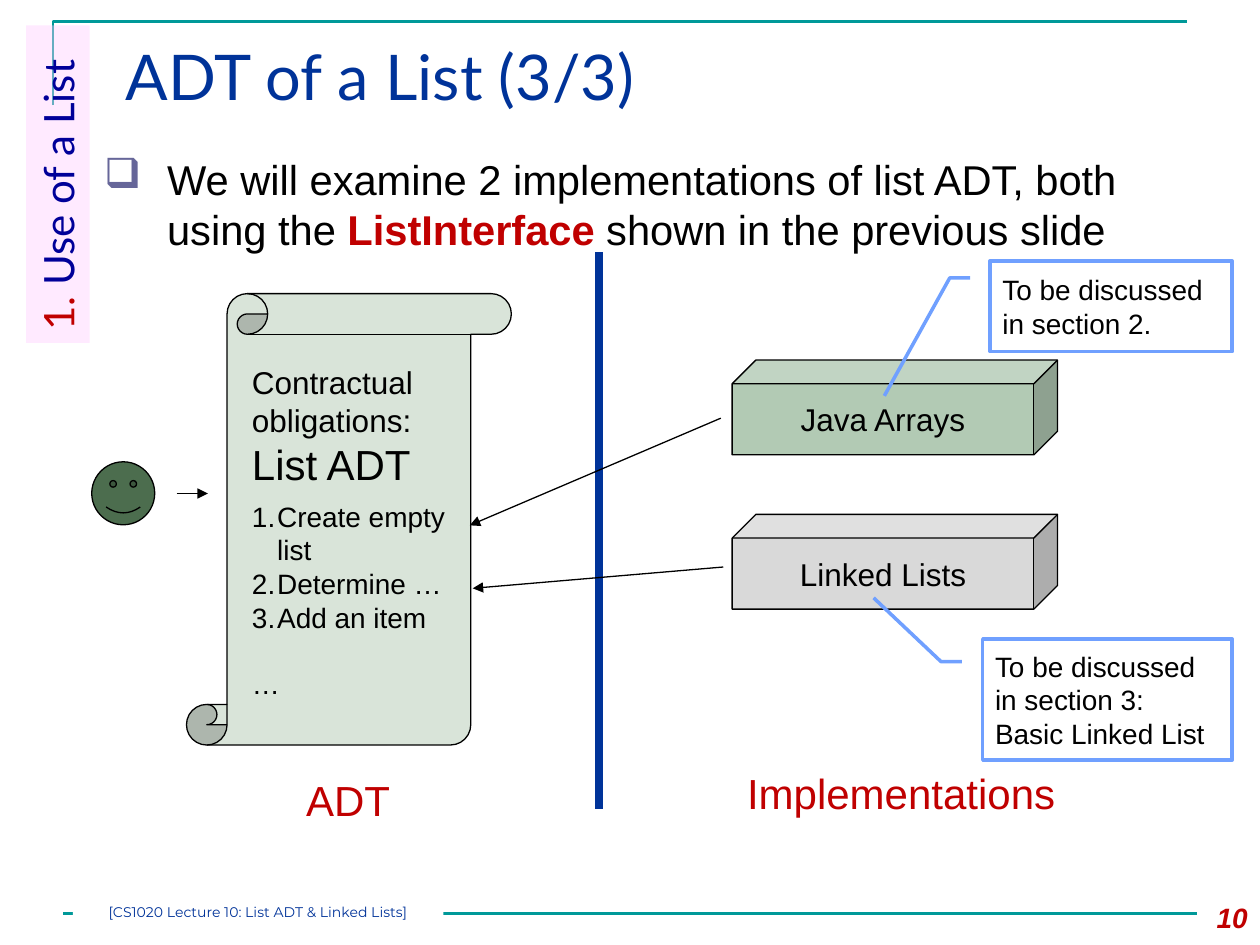
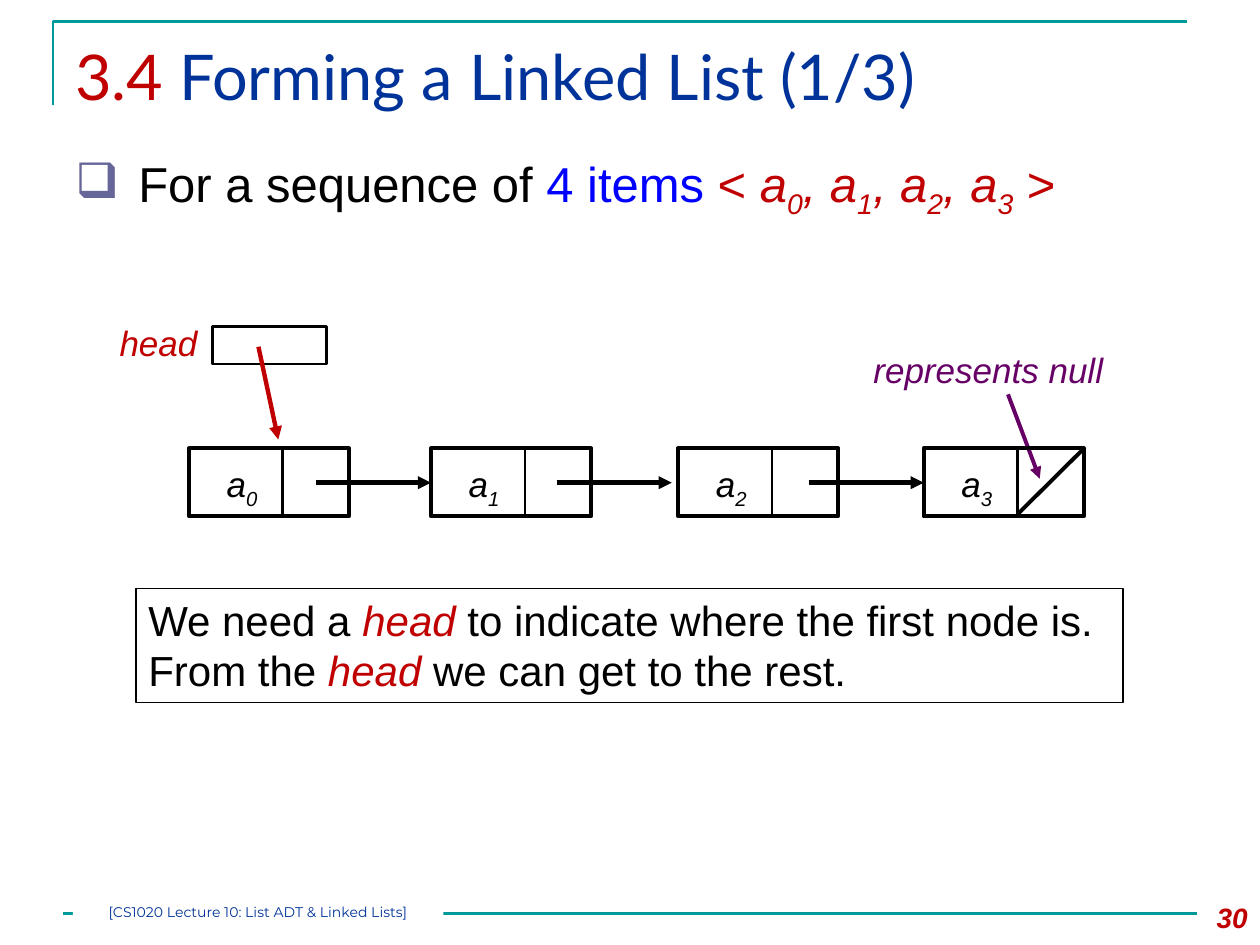
from dataclasses import dataclass

from lxml.etree import SubElement
from pptx import Presentation
from pptx.dml.color import RGBColor
from pptx.enum.shapes import MSO_CONNECTOR, MSO_SHAPE
from pptx.enum.text import MSO_ANCHOR, PP_ALIGN
from pptx.oxml.ns import qn
from pptx.util import Cm, Pt


@dataclass(frozen=True)
class Theme:
    body_font: str = "Arial"
    title_font: str = "Lato"
    footer_font: str = "Montserrat"
    black: str = "000000"
    white: str = "FFFFFF"
    navy: str = "003399"
    label_navy: str = "000099"
    blue: str = "0000FF"
    red: str = "C00000"
    purple: str = "660066"
    teal: str = "009999"
    bullet: str = "666699"
    callout: str = "70A0FF"
    label_pink: str = "FFCCFF"
    scroll: str = "D9E4D9"
    smiley: str = "4C6D4E"
    arrays: str = "B2CAB4"
    links: str = "D9D9D9"
    title_size: float = 36
    lead_size: float = 28
    bullet_size: float = 23.8
    large_size: float = 24
    node_size: float = 20
    medium_size: float = 18
    small_size: float = 16
    footer_size: float = 8


THEME = Theme()
FOOTER = "[CS1020 Lecture 10: List ADT & Linked Lists]"
RED_ITALIC = {"color": THEME.red, "italic": True}


def add_spans(para, spans, base):
    for text, changes in spans:
        values = {"name": THEME.body_font, "color": THEME.black, **base, **changes}
        span = para.add_run()
        span.text = text
        span.font.color.rgb = RGBColor.from_string(values.pop("color"))
        values["size"] = Pt(values["size"])
        if values.pop("subscript", False):
            span._r.get_or_add_rPr().set("baseline", "-25000")
        for name, value in values.items():
            setattr(span.font, name, value)


def write_text(shape, paragraphs, base, align=PP_ALIGN.LEFT, frame_values=None):
    frame = shape.text_frame
    settings = {"word_wrap": True, "vertical_anchor": MSO_ANCHOR.TOP}
    for name, value in {**settings, **(frame_values or {})}.items():
        setattr(frame, name, value)
    for index, spans in enumerate(paragraphs):
        para = frame.add_paragraph() if index else frame.paragraphs[0]
        para.alignment = align
        add_spans(para, [(spans, {})] if isinstance(spans, str) else spans, base)
    return frame.paragraphs


def add_text(page, box, paragraphs, base, **options):
    shape = page.shapes.add_textbox(*map(Cm, box))
    return write_text(shape, paragraphs, base, **options)


def set_line(line, color, width):
    line.color.rgb = RGBColor.from_string(color)
    line.width = Pt(width)


def add_box(page, kind, box, fill=None, line=None, width=0.75, adjustments=()):
    shape = page.shapes.add_shape(kind, *map(Cm, box))
    shape.shadow.inherit = False
    if fill:
        shape.fill.solid()
        shape.fill.fore_color.rgb = RGBColor.from_string(fill)
    else:
        shape.fill.background()
    if line:
        set_line(shape.line, line, width)
    else:
        shape.line.fill.background()
    for index, value in enumerate(adjustments):
        shape.adjustments[index] = value
    return shape


def add_line(page, ends, color=THEME.black, width=0.75, arrow=False):
    connector = page.shapes.add_connector(MSO_CONNECTOR.STRAIGHT, *map(Cm, ends))
    set_line(connector.line, color, width)
    properties = connector._element.spPr
    if arrow:
        SubElement(properties.find(qn("a:ln")), qn("a:tailEnd"), type="triangle")
    SubElement(properties, qn("a:effectLst"))


def set_bullet(para, indent, symbol=None):
    properties = para._p.get_or_add_pPr()
    properties.set("marL", str(Cm(indent)))
    properties.set("indent", str(-Cm(indent)))
    if symbol:
        color = SubElement(properties, qn("a:buClr"))
        SubElement(color, qn("a:srgbClr"), val=THEME.bullet)
        SubElement(properties, qn("a:buChar"), char=symbol)
    else:
        SubElement(properties, qn("a:buAutoNum"), type="arabicPeriod")


def add_frame(page):
    builder = page.shapes.build_freeform(Cm(1.07), Cm(2.12))
    corner = [(Cm(1.07), Cm(0.43)), (Cm(23.93), Cm(0.43))]
    builder.add_line_segments(corner, close=False)
    frame = builder.convert_to_shape()
    frame.shadow.inherit = False
    frame.fill.background()
    set_line(frame.line, THEME.teal, 1.5)
    add_line(page, (1.27, 18.42, 24.13, 18.42), THEME.teal, 1.5)


def add_footer(page, number):
    add_text(page, (23.7, 18.03, 1.7, 1.02), [number],
             {"size": THEME.small_size, "bold": True, **RED_ITALIC}, align=PP_ALIGN.RIGHT)
    plate = add_box(page, MSO_SHAPE.RECTANGLE, (1.47, 18.21, 7.47, 0.58), THEME.white)
    margins = dict.fromkeys(("margin_left", "margin_top", "margin_right", "margin_bottom"), 0)
    write_text(plate, [FOOTER],
               {"name": THEME.footer_font, "size": THEME.footer_size, "color": THEME.navy},
               align=PP_ALIGN.CENTER, frame_values=margins)


def add_title(page, left, spans):
    add_text(page, (left, 0.64, 24.13 - left, 2.18), [spans],
             {"name": THEME.title_font, "size": THEME.title_size, "color": THEME.navy})


def add_bullet_point(page, left, size, spans):
    paragraphs = add_text(page, (left, 2.97, 24.13 - left, 2.3), [spans], {"size": size})
    set_bullet(paragraphs[0], 1.27, "❑")


def add_caption(page, box, text, **changes):
    add_text(page, box, [text], {"size": THEME.large_size, "color": THEME.red, **changes},
             frame_values={"word_wrap": False})


def add_contract(page):
    add_box(page, MSO_SHAPE.VERTICAL_SCROLL, (3.76, 5.92, 6.55, 9.1),
            THEME.scroll, THEME.black, adjustments=[0.125])
    small = {"size": THEME.small_size}
    steps = ["Create empty list", "Determine …", "Add an item", "…"]
    paragraphs = add_text(
        page, (4.83, 7.19, 4.5, 7.14),
        ["Contractual", "obligations:", [("List ADT", {"size": THEME.large_size})]]
        + [[(step, small)] for step in steps],
        {"size": THEME.medium_size})
    paragraphs[2].space_after = Pt(6)
    for para in paragraphs[3:6]:
        set_bullet(para, 0.51)
    paragraphs[6].space_before = Pt(19)


def add_implementation(page, top, text, fill):
    cube = add_box(page, MSO_SHAPE.CUBE, (14.76, top, 6.56, 1.91), fill, THEME.black,
                   adjustments=[0.25])
    write_text(cube, [text], {"size": THEME.medium_size}, align=PP_ALIGN.CENTER,
               frame_values={"word_wrap": False, "vertical_anchor": MSO_ANCHOR.MIDDLE})


def add_callout(page, box, text, target):
    callout = add_box(page, MSO_SHAPE.LINE_CALLOUT_2, box, THEME.white, THEME.callout, 2,
                      [0.188, -0.083, 0.188, -0.167, target, -0.437])
    write_text(callout, [text], {"size": THEME.small_size},
               frame_values={"vertical_anchor": MSO_ANCHOR.MIDDLE})


def add_side_label(page, number, text):
    label = add_box(page, MSO_SHAPE.RECTANGLE, (-2.03, 3.07, 6.4, 1.28), THEME.label_pink)
    label.rotation = 270
    color = label._element.spPr.find(qn("a:solidFill"))[0]
    SubElement(color, qn("a:alpha"), val="40000")
    write_text(label, [[(number, {"color": THEME.red}), (text, {})]],
               {"name": THEME.title_font, "size": THEME.large_size, "color": THEME.label_navy})


def add_node(page, left, index):
    add_box(page, MSO_SHAPE.RECTANGLE, (left, 9.04, 3.23, 1.37), line=THEME.black, width=2.25)
    add_line(page, (left + 1.89, 9.02, left + 1.89, 10.41), width=1.5)
    add_text(page, (left + 0.51, 9.2, 1.17, 1.1), [[("a", {}), (index, {"subscript": True})]],
             {"size": THEME.node_size, "italic": True}, frame_values={"word_wrap": False})


def build_contract_page(page):
    add_frame(page)
    add_title(page, 2.29, "ADT of a List (3/3)")
    add_bullet_point(page, 1.85, THEME.bullet_size, [
        ("We will examine 2 implementations of list ADT, both using the ", {}),
        ("ListInterface ", {"color": THEME.red, "bold": True}),
        ("shown in the previous slide", {})])
    add_line(page, (12.07, 5.08, 12.07, 16.31), THEME.navy, 4.5)
    add_contract(page)
    add_box(page, MSO_SHAPE.SMILEY_FACE, (1.85, 9.31, 1.27, 1.27), THEME.smiley, THEME.black)
    add_line(page, (3.56, 9.95, 4.19, 9.95), arrow=True)
    add_caption(page, (5.92, 15.49, 2.24, 1.27), "ADT")
    add_line(page, (14.53, 8.43, 9.47, 10.59), arrow=True)
    add_line(page, (14.58, 11.43, 9.53, 11.86), arrow=True)
    add_implementation(page, 7.26, "Java Arrays", THEME.arrays)
    add_implementation(page, 10.37, "Linked Lists", THEME.links)
    add_caption(page, (14.81, 15.34, 6.78, 1.27), "Implementations")
    add_callout(page, (19.96, 5.26, 4.88, 1.83), "To be discussed in section 2.", 1.487)
    add_callout(page, (19.81, 12.88, 5.03, 2.44),
                "To be discussed in section 3: Basic Linked List", -0.339)
    add_side_label(page, "1. ", "Use of a List")
    add_footer(page, "10")


def build_linked_list_page(page):
    add_frame(page)
    add_title(page, 1.27, [("3.4 ", {"color": THEME.red}), ("Forming a Linked List (1/3)", {})])
    sequence = []
    for index, prefix in enumerate((" a", ", a", ", a", ", a")):
        sequence.append((prefix, RED_ITALIC))
        sequence.append((str(index), {**RED_ITALIC, "subscript": True}))
    add_bullet_point(page, 1.27, THEME.lead_size, [
        ("For a sequence of ", {}), ("4 items ", {"color": THEME.blue}),
        ("<", {"color": THEME.red}), *sequence, (" >", {"color": THEME.red})])

    add_box(page, MSO_SHAPE.RECTANGLE, (4.29, 6.58, 2.29, 0.76), line=THEME.black, width=1.5)
    add_caption(page, (2.16, 6.35, 2.08, 1.09), "head", size=THEME.node_size, italic=True)
    add_line(page, (5.21, 6.99, 5.61, 8.86), THEME.red, 2.5, arrow=True)
    add_text(page, (16.94, 6.91, 5.97, 1.12), ["represents null"],
             {"size": THEME.node_size, "color": THEME.purple, "italic": True},
             align=PP_ALIGN.CENTER)
    add_line(page, (20.32, 7.95, 20.96, 9.65), THEME.purple, 2.25, arrow=True)
    add_line(page, (21.87, 9.02, 20.52, 10.36), width=2.25)
    for index, left in enumerate((3.81, 8.69, 13.67, 18.62)):
        add_node(page, left, str(index))
    for tip in (8.69, 13.54, 18.62):
        add_line(page, (tip - 2.32, 9.73, tip, 9.73), width=2.5, arrow=True)

    note = add_box(page, MSO_SHAPE.RECTANGLE, (2.74, 11.86, 19.9, 2.31), line=THEME.black)
    write_text(note, [[
        ("We need a ", {}), ("head", RED_ITALIC),
        (" to indicate where the first node is. From the ", {}),
        ("head", RED_ITALIC), (" we can get to the rest.", {})]],
        {"size": THEME.large_size})
    add_footer(page, "30")


def main():
    deck = Presentation()
    deck.slide_width, deck.slide_height = Cm(25.4), Cm(19.05)
    for build in (build_contract_page, build_linked_list_page):
        build(deck.slides.add_slide(deck.slide_layouts[6]))
    deck.save("out.pptx")


main()
